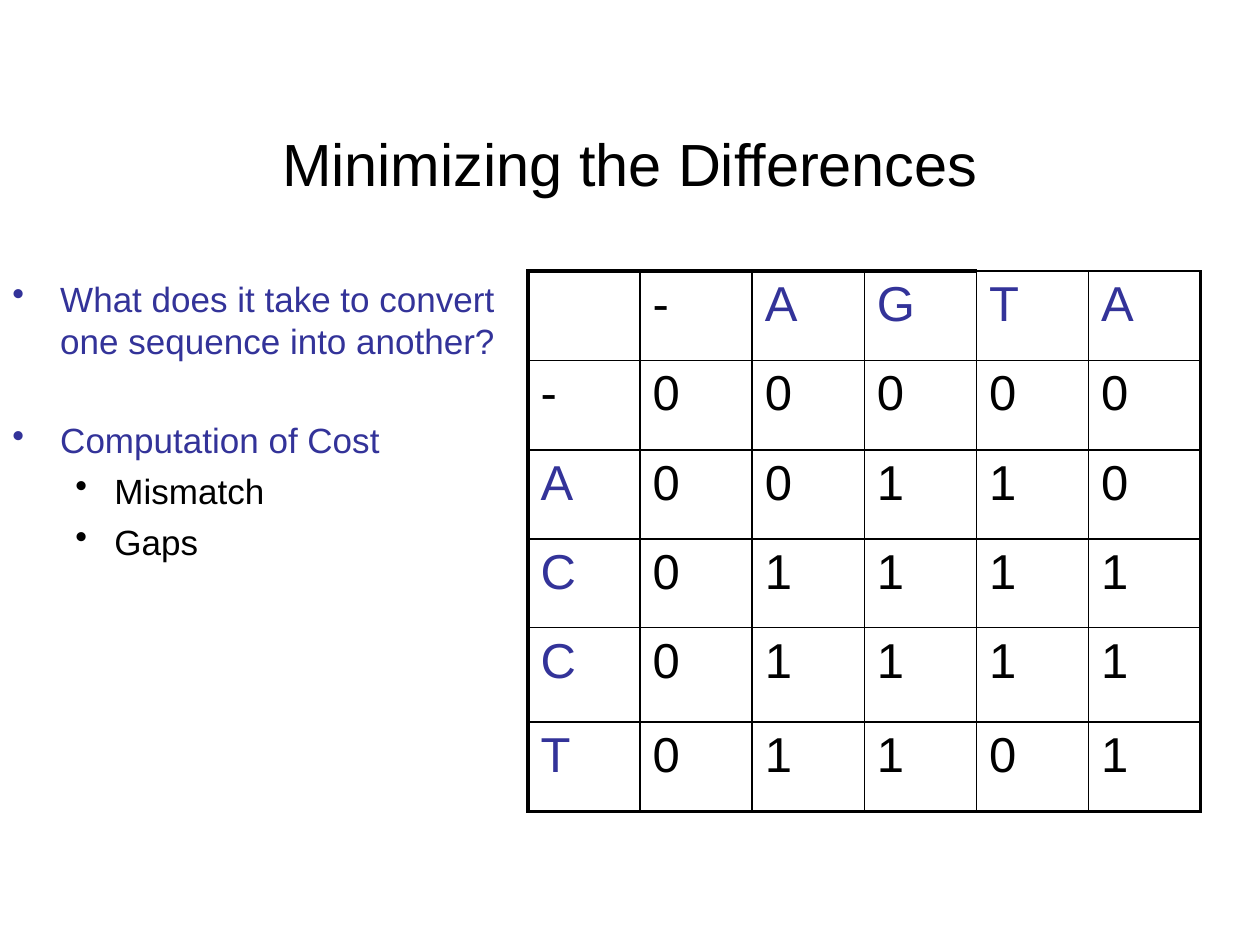
import pptx
import pptx.util
import pptx.dml.color
import pptx.enum.text
import pptx.oxml
import pptx.oxml.ns
from pptx.util import Inches

BLACK = pptx.dml.color.RGBColor(0x00, 0x00, 0x00)
BLUE = pptx.dml.color.RGBColor(0x33, 0x33, 0x99)
FONT = "Arial"
THIN, THICK = 1, 2.25

# Text, level, colour, space before
POINTS = [
    ("What does it take to convert one sequence into another?", 0, BLUE, 0),
    ("Computation of Cost", 0, BLUE, 33),
    ("Mismatch", 1, BLACK, 5),
    ("Gaps", 1, BLACK, 5),
]
INDENTS = [(0.38, -0.38), (0.81, -0.31)]

# One letter per cell
COSTS = [" -AGTA", "-00000", "A00110", "C01111", "C01111", "T01101"]
HEIGHTS = [0.71, 0.71, 0.71, 0.7, 0.75, 0.71]
WIDTH = 0.89


def style(para, size, color):
    for run in para.runs:
        run.font.name = FONT
        run.font.size = pptx.util.Pt(size)
        run.font.color.rgb = color


def add_box(slide, left, top, width, height):
    box = slide.shapes.add_textbox(
        Inches(left), Inches(top), Inches(width), Inches(height))
    box.text_frame.word_wrap = True
    return box.text_frame


def add_title(slide, text):
    frame = add_box(slide, 0.75, 0.67, 8.5, 1.25)
    frame.vertical_anchor = pptx.enum.text.MSO_ANCHOR.MIDDLE
    frame.text = text
    para = frame.paragraphs[0]
    para.alignment = pptx.enum.text.PP_ALIGN.CENTER
    style(para, 34, BLACK)


def set_bullet(para, level):
    left, first = INDENTS[level]
    props = para._p.get_or_add_pPr()
    props.set("marL", str(Inches(left)))
    props.set("indent", str(Inches(first)))
    mark = pptx.oxml.parse_xml(
        f'<a:buChar {pptx.oxml.ns.nsdecls("a")} char="•"/>')
    props.append(mark)


def add_points(slide):
    frame = add_box(slide, 0, 2.15, 4.17, 4.5)
    frame.text = "\n".join(point[0] for point in POINTS)
    for para, (_, level, color, space) in zip(frame.paragraphs, POINTS):
        para.level = level
        set_bullet(para, level)
        para.space_before = pptx.util.Pt(space)
        style(para, 20, color)


def set_border(cell, side, width):
    line = pptx.oxml.parse_xml(
        f'<a:ln{side} {pptx.oxml.ns.nsdecls("a")} w="{pptx.util.Pt(width)}">'
        f'<a:solidFill><a:srgbClr val="{BLACK}"/></a:solidFill></a:ln{side}>')
    cell._tc.get_or_add_tcPr().append(line)


def add_grid(slide):
    count = len(COSTS)
    last = count - 1
    shape = slide.shapes.add_table(
        count, count, Inches(4.19), Inches(2.15),
        Inches(WIDTH * count), Inches(sum(HEIGHTS)))
    table = shape.table
    table.first_row = table.horz_banding = False
    for col in table.columns:
        col.width = Inches(WIDTH)
    for r, letters in enumerate(COSTS):
        table.rows[r].height = Inches(HEIGHTS[r])
        for c, letter in enumerate(letters):
            cell = table.cell(r, c)
            cell.text = letter.strip()
            style(cell.text_frame.paragraphs[0], 28,
                  BLUE if letter.isalpha() else BLACK)
            # Heavy outer frame, light over the last two columns
            heavy = {"L": c == 0, "R": c == last,
                     "T": r == 0 and c < 4, "B": r == last}
            for side, thick in heavy.items():
                set_border(cell, side, THICK if thick else THIN)
            cell.fill.background()


def main():
    deck = pptx.Presentation()
    deck.slide_width = Inches(10)
    deck.slide_height = Inches(7.5)
    slide = deck.slides.add_slide(deck.slide_layouts[6])
    add_title(slide, "Minimizing the Differences")
    add_points(slide)
    add_grid(slide)
    deck.save("out.pptx")


if __name__ == "__main__":
    main()
